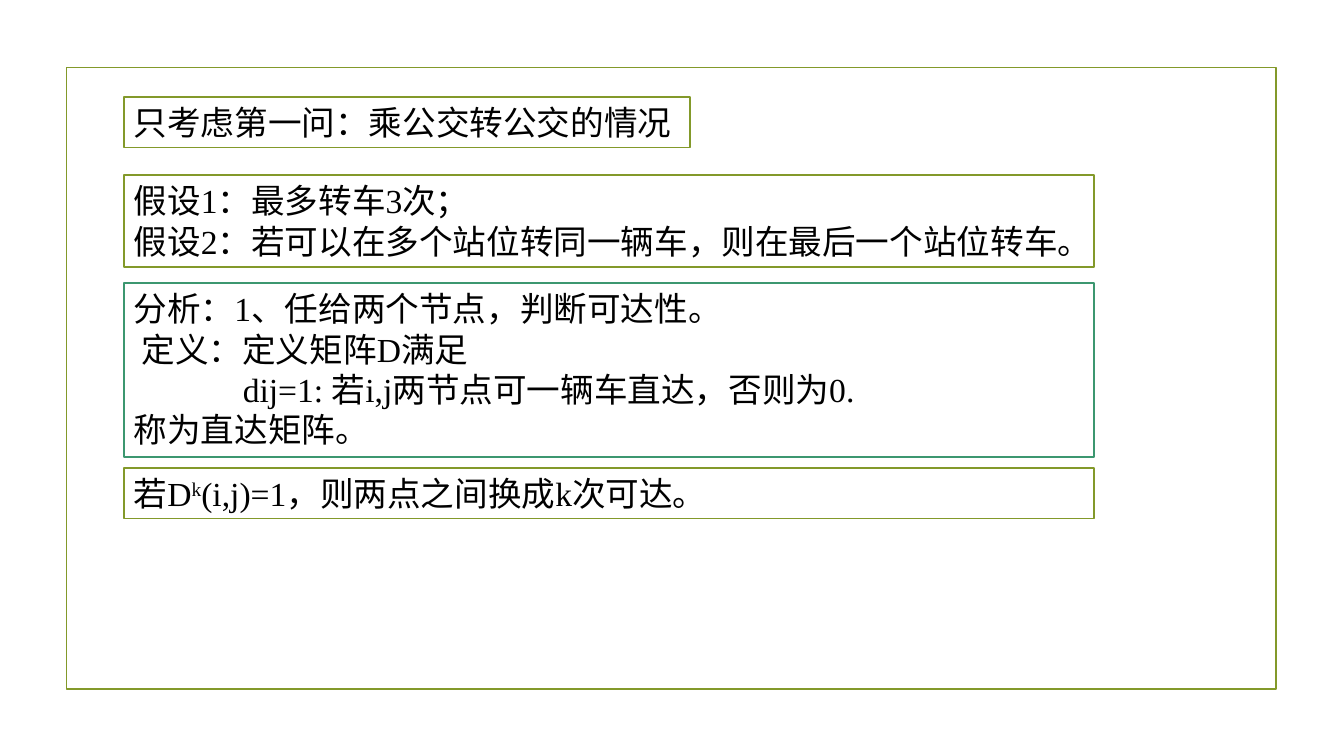
from pptx import Presentation
from pptx.dml.color import RGBColor
from pptx.enum.shapes import MSO_SHAPE
from pptx.enum.text import MSO_ANCHOR, MSO_AUTO_SIZE, PP_ALIGN
from pptx.util import Cm, Pt

OLIVE, GREEN, WHITE, BLACK = "83992A", "3C9770", "FFFFFF", "000000"
FONT = "Times New Roman"
LEFT, WIDE = 3.12, 24.46


def rgb(value):
    return RGBColor.from_string(value)


def add_frame(slide, left, top, width, height, color, fill=None):
    s = slide.shapes.add_shape(
        MSO_SHAPE.RECTANGLE, Cm(left), Cm(top), Cm(width), Cm(height))
    s.shadow.inherit = False
    if fill:
        s.fill.solid()
        s.fill.fore_color.rgb = rgb(fill)
    else:
        s.fill.background()
    s.line.color.rgb = rgb(color)
    s.line.width = Pt(1.25)
    return s


def add_note(slide, top, width, height, color, lines):
    """Framed text; each line is (indent in cm, run texts)."""
    s = add_frame(slide, LEFT, top, width, height, color, WHITE)
    tf = s.text_frame
    tf.word_wrap = True
    tf.auto_size = MSO_AUTO_SIZE.SHAPE_TO_FIT_TEXT
    tf.vertical_anchor = MSO_ANCHOR.TOP
    for i, (indent, texts) in enumerate(lines):
        p = tf.paragraphs[0] if i == 0 else tf.add_paragraph()
        p.alignment = PP_ALIGN.LEFT
        if indent:
            p._p.get_or_add_pPr().set("marL", str(Cm(indent)))
        for text in texts:
            r = p.add_run()
            r.text = text
            r.font.name = FONT
            r.font.size = Pt(24)
            r.font.color.rgb = rgb(BLACK)
    return s


def raise_run(r):
    """Make a run superscript."""
    r._r.get_or_add_rPr().set("baseline", "30000")


def main():
    prs = Presentation()
    prs.slide_width, prs.slide_height = Cm(33.87), Cm(19.05)
    slide = prs.slides.add_slide(prs.slide_layouts[6])

    add_frame(slide, 1.68, 1.7, 30.48, 15.67, OLIVE)
    add_note(slide, 2.44, 14.27, 1.28, OLIVE, [
        (0, ["只考虑第一问：乘公交转公交的情况"])])
    add_note(slide, 4.42, WIDE, 2.31, OLIVE, [
        (0, ["假设1：最多转车3次；"]),
        (0, ["假设2：若可以在多个站位转同一辆车，则在最后一个站位转车。"])])
    add_note(slide, 7.14, WIDE, 4.37, GREEN, [
        (0, ["分析：1、任给两个节点，判断可达性。"]),
        (0.2, ["定义：定义矩阵D满足"]),
        (2.75, ["dij=1: 若i,j两节点可一辆车直达，否则为0."]),
        (0, ["称为直达矩阵。"])])
    power = add_note(slide, 11.79, WIDE, 1.28, OLIVE, [
        (0, ["若D", "k", "(i,j)=1，则两点之间换成k次可达。"])])
    raise_run(power.text_frame.paragraphs[0].runs[1])

    prs.save("out.pptx")


if __name__ == "__main__":
    main()
